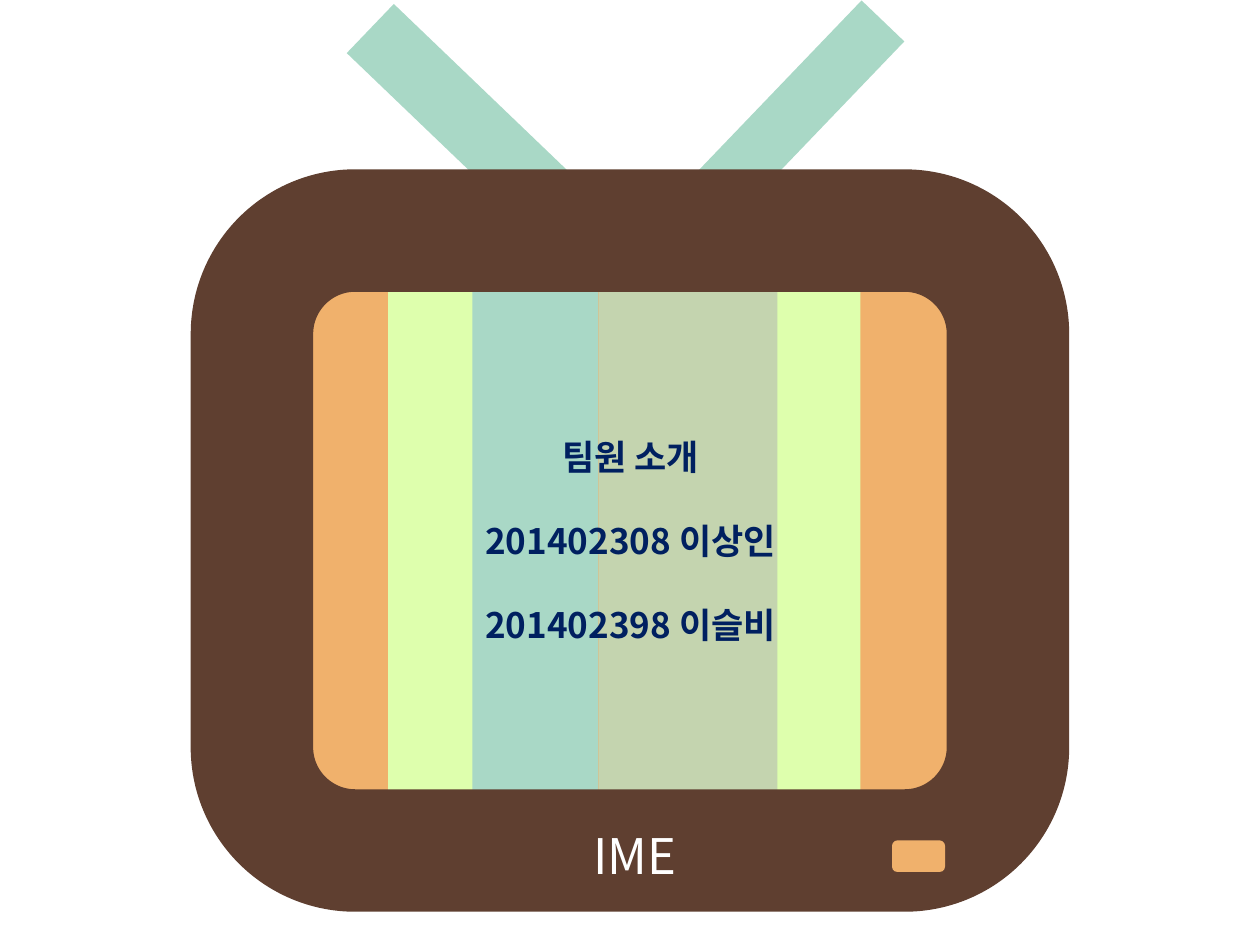
from typing import NamedTuple, Optional

from pptx import Presentation
from pptx.dml.color import RGBColor
from pptx.enum.shapes import MSO_SHAPE as Shape
from pptx.enum.text import MSO_ANCHOR, MSO_AUTO_SIZE, PP_ALIGN
from pptx.util import Inches, Pt

FONT = "Noto Sans CJK KR"
MINT = RGBColor(0xA9, 0xD8, 0xC6)
ORANGE = RGBColor(0xF0, 0xB1, 0x6C)
LIME = RGBColor(0xDE, 0xFF, 0xAD)
SAGE = RGBColor(0xC4, 0xD4, 0xAF)
BROWN = RGBColor(0x5F, 0x3F, 0x30)
NAVY = RGBColor(0x00, 0x20, 0x60)
WHITE = RGBColor(0xFF, 0xFF, 0xFF)


class Box(NamedTuple):
    left: float
    top: float
    width: float
    height: float


class Stripe(NamedTuple):
    left: float
    width: float
    color: RGBColor


STRIPE_TOP, STRIPE_HEIGHT = 2.18, 4.48
STRIPES = [
    Stripe(3.08, 1, LIME),
    Stripe(3.75, 1, MINT),
    Stripe(5.83, 1, LIME),
    Stripe(4.75, 1.42, SAGE),
]


def paint(sp, fill: Optional[RGBColor]) -> None:
    """Make a shape flat without outline; no fill leaves it hollow."""
    sp.shadow.inherit = False
    sp.line.fill.background()
    if fill is None:
        sp.fill.background()
    else:
        sp.fill.solid()
        sp.fill.fore_color.rgb = fill


def add_part(slide, kind: Shape, box: Box, fill: Optional[RGBColor] = None):
    sp = slide.shapes.add_shape(kind, *map(Inches, box))
    paint(sp, fill)
    return sp


def add_antenna(slide, box: Box, left_arm: float, bottom_arm: float,
                rotation: float) -> None:
    """Add an L outline whose two arms become the aerials when turned."""
    left, top, width, height = box
    right, bottom = left + width, top + height
    inner_x, inner_y = left + left_arm, bottom - bottom_arm
    points = [(inner_x, top), (inner_x, inner_y), (right, inner_y),
              (right, bottom), (left, bottom)]
    builder = slide.shapes.build_freeform(Inches(left), Inches(top))
    builder.add_line_segments([(Inches(x), Inches(y)) for x, y in points])
    sp = builder.convert_to_shape()
    paint(sp, MINT)
    sp.rotation = rotation


def add_label(slide, box: Box, lines: list[str], size: int,
              color: RGBColor, bold: bool = False, wrap: bool = True):
    """Add centred text, one paragraph per line."""
    tf = slide.shapes.add_textbox(*map(Inches, box)).text_frame
    tf.word_wrap = wrap
    tf.auto_size = MSO_AUTO_SIZE.NONE
    tf.vertical_anchor = MSO_ANCHOR.MIDDLE
    tf.text = "\n".join(lines)
    for p in tf.paragraphs:
        p.alignment = PP_ALIGN.CENTER
        for r in p.runs:
            r.font.name = FONT
            r.font.size = Pt(size)
            r.font.bold = bold
            r.font.color.rgb = color
    return tf


def main() -> None:
    prs = Presentation()
    prs.slide_width, prs.slide_height = Inches(10), Inches(7.5)
    slide = prs.slides.add_slide(prs.slide_layouts[6])

    # Antenna
    add_antenna(slide, Box(3.4, -1.19, 3.13, 3.13), left_arm=0.54,
                bottom_arm=0.47, rotation=313.8)

    # Screen and its colour stripes
    add_part(slide, Shape.ROUNDED_RECTANGLE, Box(2.4, 2.08, 5.2, 4.58), ORANGE)
    for stripe in STRIPES:
        box = Box(stripe.left, STRIPE_TOP, stripe.width, STRIPE_HEIGHT)
        add_part(slide, Shape.RECTANGLE, box, stripe.color)

    # Television frame
    frame = add_part(slide, Shape.ROUNDED_RECTANGLE, Box(2, 1.83, 6, 4.92))
    frame.line.color.rgb = BROWN
    frame.line.width = Pt(70)

    # Team members
    members = ["팀원 소개", "201402308 이상인", "201402398 이슬비"]
    tf = add_label(slide, Box(3.7, 3.4, 2.61, 1.78), members, 20, NAVY,
                   bold=True, wrap=False)
    for p in tf.paragraphs:
        p.line_spacing = Pt(24)
    for p in tf.paragraphs[1:]:
        p.space_before = Pt(24)

    # Power button and name plate
    add_part(slide, Shape.ROUNDED_RECTANGLE, Box(7.08, 6.67, 0.42, 0.25), ORANGE)
    add_label(slide, Box(3.08, 6.5, 3.92, 0.57), ["IME"], 28, WHITE)

    prs.save("out.pptx")


if __name__ == "__main__":
    main()
